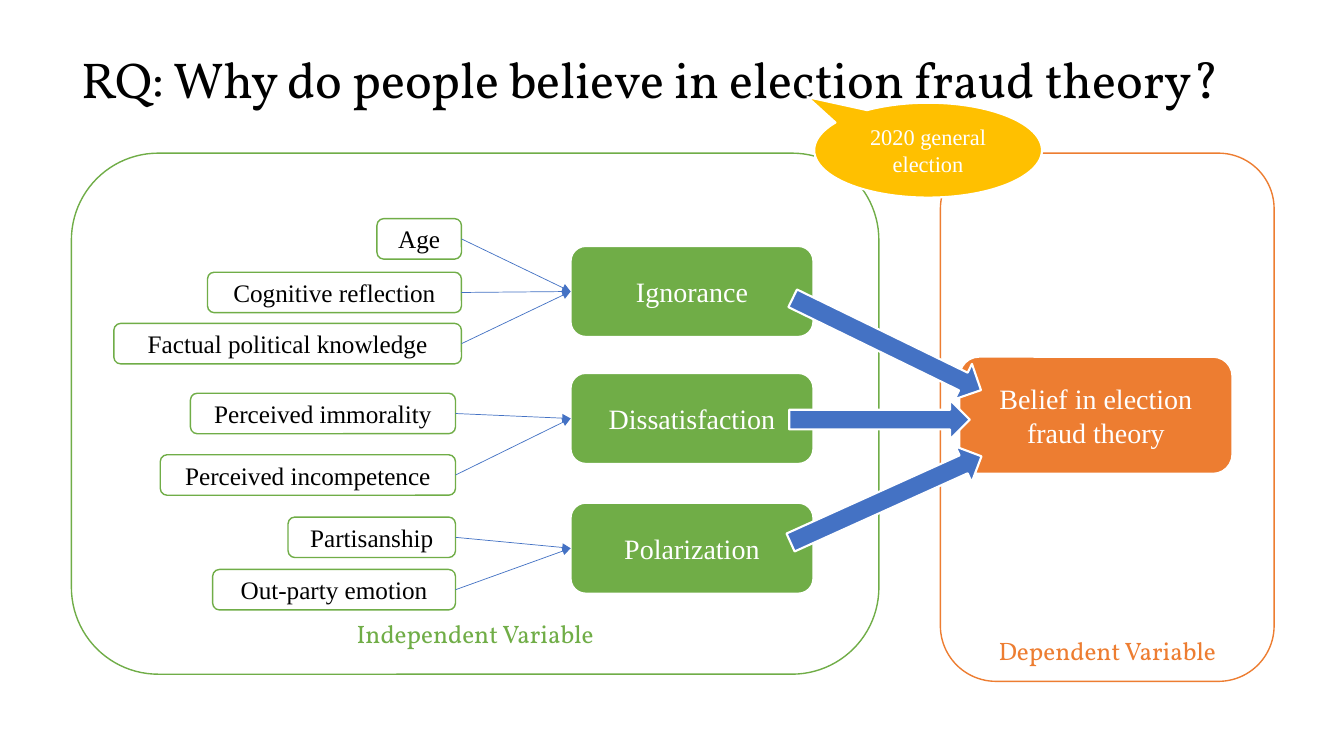
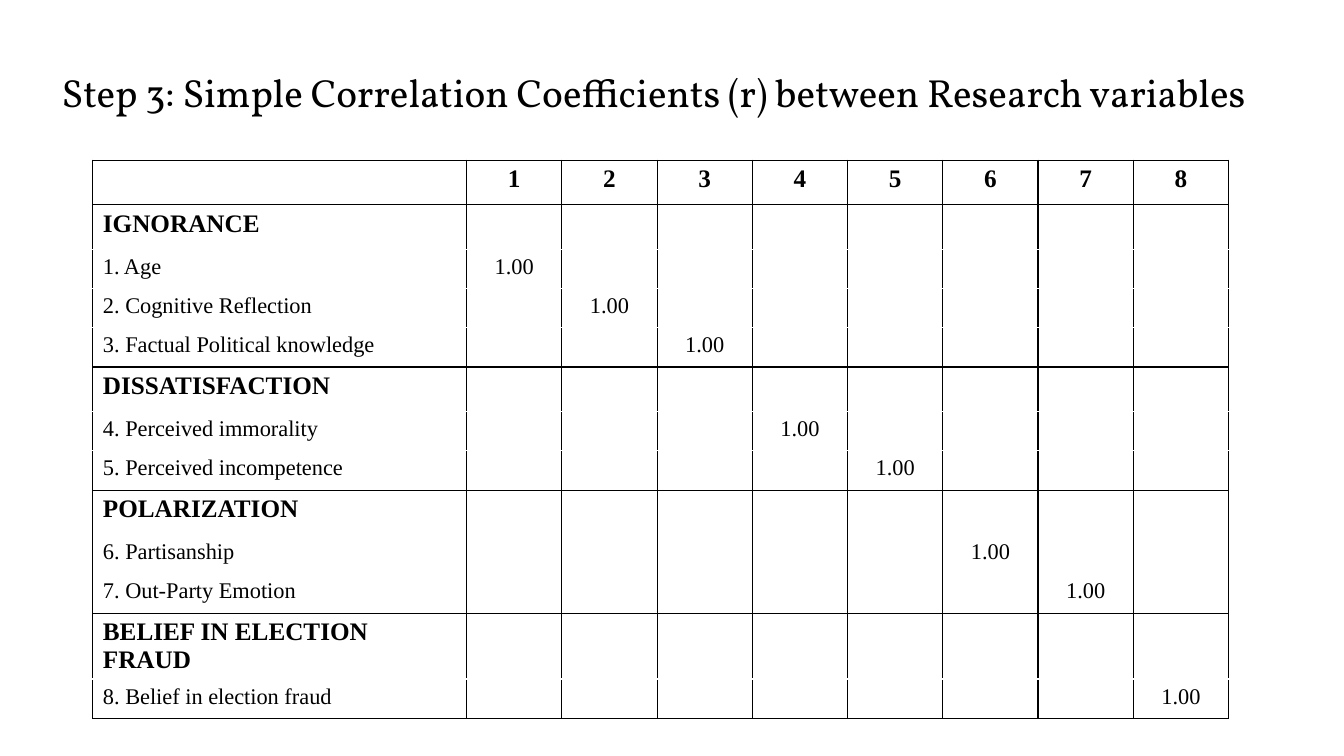
from dataclasses import dataclass

from lxml import etree
from pptx import Presentation
from pptx.dml.color import RGBColor
from pptx.enum.shapes import MSO_CONNECTOR, MSO_SHAPE
from pptx.enum.text import MSO_ANCHOR, MSO_AUTO_SIZE, PP_ALIGN
from pptx.oxml.ns import qn
from pptx.util import Cm, Pt

ROUNDED = MSO_SHAPE.ROUNDED_RECTANGLE
ARROW = MSO_SHAPE.RIGHT_ARROW
CALLOUT = MSO_SHAPE.OVAL_CALLOUT
STRAIGHT = MSO_CONNECTOR.STRAIGHT
LEFT, CENTER = PP_ALIGN.LEFT, PP_ALIGN.CENTER
MIDDLE, BOTTOM = MSO_ANCHOR.MIDDLE, MSO_ANCHOR.BOTTOM
LEFT_SITE, RIGHT_SITE = 1, 3
TITLE_ONLY = 5


@dataclass(frozen=True)
class Theme:
    """Colours, fonts and type sizes shared by the slides."""
    black: str = "000000"
    white: str = "FFFFFF"
    green: str = "70AD47"
    orange: str = "ED7D31"
    blue: str = "4472C4"
    gold: str = "FFC000"
    display: str = "Vollkorn"
    body: str = "Times New Roman"
    question: int = 36
    step: int = 28
    box: int = 20
    label: int = 18
    small: int = 16


@dataclass(frozen=True)
class Box:
    """Place and size in centimetres."""
    left: float
    top: float
    width: float
    height: float

    def emu(self) -> tuple:
        """Return the four lengths for python-pptx."""
        return Cm(self.left), Cm(self.top), Cm(self.width), Cm(self.height)


@dataclass(frozen=True)
class Cause:
    """A measured variable that feeds a factor."""
    text: str
    top: float
    width: float


@dataclass(frozen=True)
class Factor:
    """An independent variable and its causes, aligned on their right edge."""
    text: str
    top: float
    causes_right: float
    causes: tuple


@dataclass(frozen=True)
class Panel:
    """A framed area with its caption at the foot."""
    text: str
    box: Box
    color: str


@dataclass(frozen=True)
class BlockArrow:
    """A block arrow from a factor to the outcome."""
    box: Box
    angle: float


@dataclass(frozen=True)
class Group:
    """A table heading, its variables and the line between its rows."""
    heading: str
    variables: tuple
    separator: str | None


T = Theme()

PANELS = (
    Panel("Dependent Variable", Box(23.7, 3.86, 8.41, 13.31), T.orange),
    Panel("Independent Variable", Box(1.8, 3.86, 20.35, 13.13), T.green),
)
FACTORS = (
    Factor("Ignorance", 6.2, 11.63, (
        Cause("Age", 5.51, 2.13),
        Cause("Cognitive reflection", 6.86, 6.4),
        Cause("Factual political knowledge", 8.15, 8.76))),
    Factor("Dissatisfaction", 9.4, 11.48, (
        Cause("Perceived immorality", 9.91, 6.68),
        Cause("Perceived incompetence", 11.46, 7.44))),
    Factor("Polarization", 12.67, 11.48, (
        Cause("Partisanship", 13.03, 4.22),
        Cause("Out-party emotion", 14.35, 6.12))),
)
FACTOR_LEFT, FACTOR_WIDTH, FACTOR_HEIGHT = 14.38, 6.12, 2.29
CAUSE_HEIGHT = 1.02
ARROWS = (
    BlockArrow(Box(19.71, 8.18, 5.28, 0.99), 26),
    BlockArrow(Box(19.89, 10.08, 4.55, 0.99), 0),
    BlockArrow(Box(19.69, 12.09, 5.28, 0.99), 335.7),
)
GROUPS = (
    Group("IGNORANCE", ("Age", "Cognitive Reflection",
                        "Factual Political knowledge"), T.white),
    Group("DISSATISFACTION", ("Perceived immorality",
                              "Perceived incompetence"), T.white),
    Group("POLARIZATION", ("Partisanship", "Out-Party Emotion"), None),
    Group("BELIEF IN ELECTION FRAUD", ("Belief in election fraud",), T.white),
)
NAME_WIDTH, NUMBER_WIDTH = 9.42, 2.4
HEADING_HEIGHT, VARIABLE_HEIGHT = 1.12, 0.99


def rgb(color: str) -> RGBColor:
    """Turn a hex string into a colour."""
    return RGBColor.from_string(color)


def write(tf, text: str, *, size: int, color: str = T.black, font: str = T.body,
          bold: bool = False, align=CENTER):
    """Write one formatted paragraph into a text frame and return it."""
    p = tf.paragraphs[0]
    p.alignment = align
    r = p.add_run()
    r.text = text
    r.font.size, r.font.name, r.font.bold = Pt(size), font, bold
    r.font.color.rgb = rgb(color)
    return p


def add_title(s, text: str, box: Box, size: int) -> None:
    """Place and format the title placeholder."""
    sp = s.shapes.title
    sp.left, sp.top, sp.width, sp.height = box.emu()
    tf = sp.text_frame
    tf.word_wrap, tf.auto_size = True, MSO_AUTO_SIZE.NONE
    tf.vertical_anchor = MIDDLE
    p = write(tf, text, size=size, font=T.display, align=LEFT)
    p.line_spacing = 0.9


def add_shape(s, kind, box: Box, *, fill: str, line: str = T.white,
              weight: float = 1.5, text: str = "", **style):
    """Draw a preset shape with an outline and optional text."""
    sp = s.shapes.add_shape(kind, *box.emu())
    sp.shadow.inherit = False
    sp.fill.solid()
    sp.fill.fore_color.rgb = rgb(fill)
    sp.line.color.rgb = rgb(line)
    sp.line.width = Pt(weight)
    tf = sp.text_frame
    tf.word_wrap, tf.vertical_anchor = True, MIDDLE
    if text:
        write(tf, text, **style)
    return sp


def add_panel(s, panel: Panel) -> None:
    """Draw a frame with its caption."""
    sp = add_shape(s, ROUNDED, panel.box, fill=T.white, line=panel.color,
                   weight=1, text=panel.text, size=T.label,
                   color=panel.color, font=T.display)
    sp.text_frame.vertical_anchor = BOTTOM
    sp.text_frame.margin_bottom = 0


def link(s, start, end) -> None:
    """Join the right of one shape to the left of another with a thin arrow."""
    cxn = s.shapes.add_connector(STRAIGHT, 0, 0, 0, 0)
    cxn.begin_connect(start, RIGHT_SITE)
    cxn.end_connect(end, LEFT_SITE)
    cxn.line.color.rgb = rgb(T.blue)
    cxn.line.width = Pt(0.5)
    etree.SubElement(cxn.line._get_or_add_ln(), qn("a:tailEnd"), type="triangle")
    etree.SubElement(cxn._element.spPr, qn("a:effectLst"))


def add_factor(s, factor: Factor) -> None:
    """Draw a factor, its causes and the arrows between them."""
    target = add_shape(
        s, ROUNDED, Box(FACTOR_LEFT, factor.top, FACTOR_WIDTH, FACTOR_HEIGHT),
        fill=T.green, text=factor.text, size=T.box, color=T.white)
    for cause in factor.causes:
        box = Box(factor.causes_right - cause.width, cause.top,
                  cause.width, CAUSE_HEIGHT)
        source = add_shape(s, ROUNDED, box, fill=T.white, line=T.green,
                           weight=1, text=cause.text, size=T.label)
        link(s, source, target)


def set_borders(cell, top: str | None, bottom: str | None) -> None:
    """Give a cell black sides and the given top and bottom lines."""
    tc_pr = cell._tc.get_or_add_tcPr()
    sides = {"L": T.black, "R": T.black, "T": top, "B": bottom}
    for side, color in sides.items():
        ln = etree.SubElement(tc_pr, qn(f"a:ln{side}"), w=str(Pt(1)))
        if color is None:
            etree.SubElement(ln, qn("a:noFill"))
        else:
            fill = etree.SubElement(ln, qn("a:solidFill"))
            etree.SubElement(fill, qn("a:srgbClr"), val=color)


def fill_row(row, texts: list, *, height: float, top: str | None,
             bottom: str | None, **style) -> None:
    """Write and rule one table row, names to the left and values centred."""
    row.height = Cm(height)
    for i, (cell, text) in enumerate(zip(row.cells, texts)):
        set_borders(cell, top, bottom)
        cell.fill.background()
        if text:
            write(cell.text_frame, text, align=CENTER if i else LEFT, **style)
        else:
            cell.margin_top = cell.margin_bottom = 0


def add_correlations(s, left: float, top: float) -> None:
    """Build the correlation table from the groups."""
    count = sum(len(group.variables) for group in GROUPS)
    n_rows = 1 + len(GROUPS) + count
    height = (1 + len(GROUPS)) * HEADING_HEIGHT + count * VARIABLE_HEIGHT
    box = Box(left, top, NAME_WIDTH + count * NUMBER_WIDTH, height)
    table = s.shapes.add_table(n_rows, count + 1, *box.emu()).table
    table.first_row = table.horz_banding = False
    for i, column in enumerate(table.columns):
        column.width = Cm(NUMBER_WIDTH if i else NAME_WIDTH)

    heading = dict(height=HEADING_HEIGHT, top=T.black, size=T.label, bold=True)
    rows = iter(table.rows)
    fill_row(next(rows), [""] + [str(n + 1) for n in range(count)],
             bottom=T.black, **heading)
    number = 0
    for group in GROUPS:
        fill_row(next(rows), [group.heading] + [""] * count,
                 bottom=group.separator, **heading)
        for name in group.variables:
            number += 1
            values = ["1.00" if n + 1 == number else "" for n in range(count)]
            last = name == group.variables[-1]
            fill_row(next(rows), [f"{number}. {name}"] + values,
                     height=VARIABLE_HEIGHT, top=group.separator,
                     bottom=T.black if last else group.separator, size=T.small)


def build_question(prs) -> None:
    """Build the slide with the research question and its model."""
    s = prs.slides.add_slide(prs.slide_layouts[TITLE_ONLY])
    add_title(s, "RQ: Why do people believe in election fraud theory?",
              Box(1.8, 0.23, 30.3, 3.68), T.question)
    for panel in PANELS:
        add_panel(s, panel)
    for factor in FACTORS:
        add_factor(s, factor)
    add_shape(s, ROUNDED, Box(24.18, 8.99, 6.88, 2.95), fill=T.orange,
              text="Belief in election fraud theory", size=T.box, color=T.white)
    for arrow in ARROWS:
        sp = add_shape(s, ARROW, arrow.box, fill=T.blue)
        sp.rotation = arrow.angle
    callout = add_shape(s, CALLOUT, Box(20.52, 2.59, 5.74, 2.39), fill=T.gold,
                        text="2020 general election", size=T.small, color=T.white)
    callout.adjustments[0], callout.adjustments[1] = -0.53, -0.56


def build_correlation(prs) -> None:
    """Build the slide with the correlation table."""
    s = prs.slides.add_slide(prs.slide_layouts[TITLE_ONLY])
    add_title(s, "Step 3: Simple Correlation Coefficients (r) between Research variables",
              Box(1.3, 0.56, 31.27, 3.68), T.step)
    add_correlations(s, 2.34, 4.04)


def main() -> None:
    """Build and save the presentation."""
    prs = Presentation()
    prs.slide_width, prs.slide_height = Cm(33.87), Cm(19.05)
    build_question(prs)
    build_correlation(prs)
    prs.save("out.pptx")


main()
